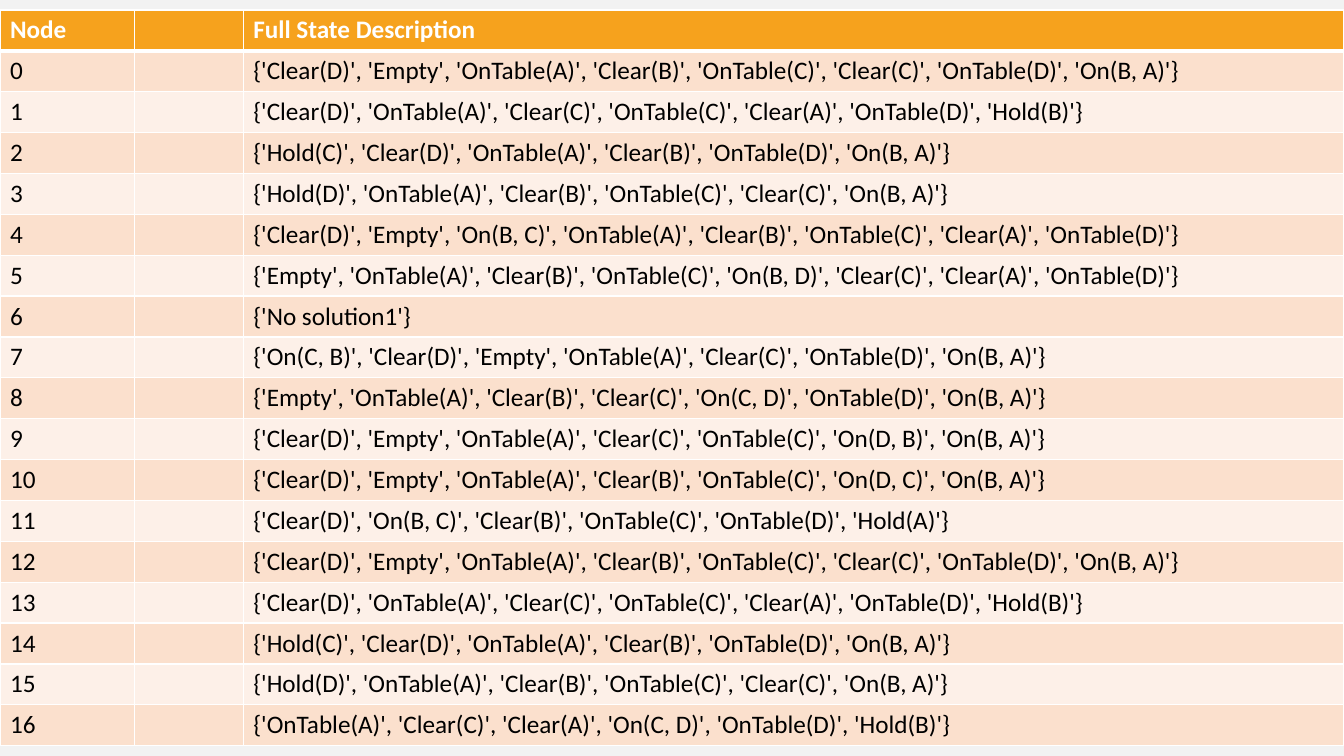
from lxml import etree
from pptx import Presentation
from pptx.dml.color import RGBColor
from pptx.oxml.ns import qn
from pptx.util import Cm, Pt

FONT = "Calibri"
WHITE, BLACK = "FFFFFF", "000000"
BACKGROUND, HEADER_FILL = "F2F2F2", "F6A21D"
BAND_FILLS = ("FBE0CD", "FDF0E8")
HEADER = ("Node", "", "Full State Description")
COL_WIDTHS = (3.38, 2.75, 27.74)
ROW_HEIGHT = 1.03

FIRST_STATES = [
    "{'Clear(D)', 'Empty', 'OnTable(A)', 'Clear(B)', 'OnTable(C)', 'Clear(C)', 'OnTable(D)', 'On(B, A)'}",
    "{'Clear(D)', 'OnTable(A)', 'Clear(C)', 'OnTable(C)', 'Clear(A)', 'OnTable(D)', 'Hold(B)'}",
    "{'Hold(C)', 'Clear(D)', 'OnTable(A)', 'Clear(B)', 'OnTable(D)', 'On(B, A)'}",
    "{'Hold(D)', 'OnTable(A)', 'Clear(B)', 'OnTable(C)', 'Clear(C)', 'On(B, A)'}",
]
MIDDLE_STATES = [
    "{'Clear(D)', 'Empty', 'On(B, C)', 'OnTable(A)', 'Clear(B)', 'OnTable(C)', 'Clear(A)', 'OnTable(D)'}",
    "{'Empty', 'OnTable(A)', 'Clear(B)', 'OnTable(C)', 'On(B, D)', 'Clear(C)', 'Clear(A)', 'OnTable(D)'}",
    "{'No solution1'}",
    "{'On(C, B)', 'Clear(D)', 'Empty', 'OnTable(A)', 'Clear(C)', 'OnTable(D)', 'On(B, A)'}",
    "{'Empty', 'OnTable(A)', 'Clear(B)', 'Clear(C)', 'On(C, D)', 'OnTable(D)', 'On(B, A)'}",
    "{'Clear(D)', 'Empty', 'OnTable(A)', 'Clear(C)', 'OnTable(C)', 'On(D, B)', 'On(B, A)'}",
    "{'Clear(D)', 'Empty', 'OnTable(A)', 'Clear(B)', 'OnTable(C)', 'On(D, C)', 'On(B, A)'}",
    "{'Clear(D)', 'On(B, C)', 'Clear(B)', 'OnTable(C)', 'OnTable(D)', 'Hold(A)'}",
]
LAST_STATE = "{'OnTable(A)', 'Clear(C)', 'Clear(A)', 'On(C, D)', 'OnTable(D)', 'Hold(B)'}"
# Nodes 12 to 15 return to the states of nodes 0 to 3.
STATES = FIRST_STATES + MIDDLE_STATES + FIRST_STATES + [LAST_STATE]


def rgb(color):
    return RGBColor.from_string(color)


def set_fill(fill, color):
    fill.solid()
    fill.fore_color.rgb = rgb(color)


def write_text(tf, text, size=18, color=BLACK, bold=False):
    r = tf.paragraphs[0].add_run()
    r.text = text
    r.font.name = FONT
    r.font.size = Pt(size)
    r.font.bold = bold
    r.font.color.rgb = rgb(color)


def add_borders(cell, top=1, bottom=1):
    """Draw white cell edges, widths in points; call before filling the cell."""
    tc_pr = cell._tc.get_or_add_tcPr()
    for side, width in (("L", 1), ("R", 1), ("T", top), ("B", bottom)):
        ln = etree.SubElement(tc_pr, qn(f"a:ln{side}"), w=str(Pt(width)))
        fill = etree.SubElement(ln, qn("a:solidFill"))
        etree.SubElement(fill, qn("a:srgbClr"), val=WHITE)


def fill_row(row, texts, fill, borders, **text_format):
    row.height = Cm(ROW_HEIGHT)
    for cell, text in zip(row.cells, texts):
        add_borders(cell, **borders)
        set_fill(cell.fill, fill)
        if text:
            write_text(cell.text_frame, text, **text_format)


def add_state_table(s):
    n_rows = len(STATES) + 1
    table = s.shapes.add_table(n_rows, len(HEADER), Cm(0), Cm(0.25),
                               Cm(sum(COL_WIDTHS)), Cm(ROW_HEIGHT * n_rows)).table
    for col, width in zip(table.columns, COL_WIDTHS):
        col.width = Cm(width)
    fill_row(table.rows[0], HEADER, HEADER_FILL, {"bottom": 3}, color=WHITE, bold=True)
    for node, state in enumerate(STATES):
        borders = {"top": 3} if node == 0 else {}
        fill_row(table.rows[node + 1], (str(node), "", state), BAND_FILLS[node % 2], borders)


def main():
    prs = Presentation()
    prs.slide_width, prs.slide_height = Cm(33.87), Cm(19.05)
    s = prs.slides.add_slide(prs.slide_layouts[6])
    set_fill(s.background.fill, BACKGROUND)
    add_state_table(s)
    prs.save("out.pptx")


if __name__ == "__main__":
    main()
